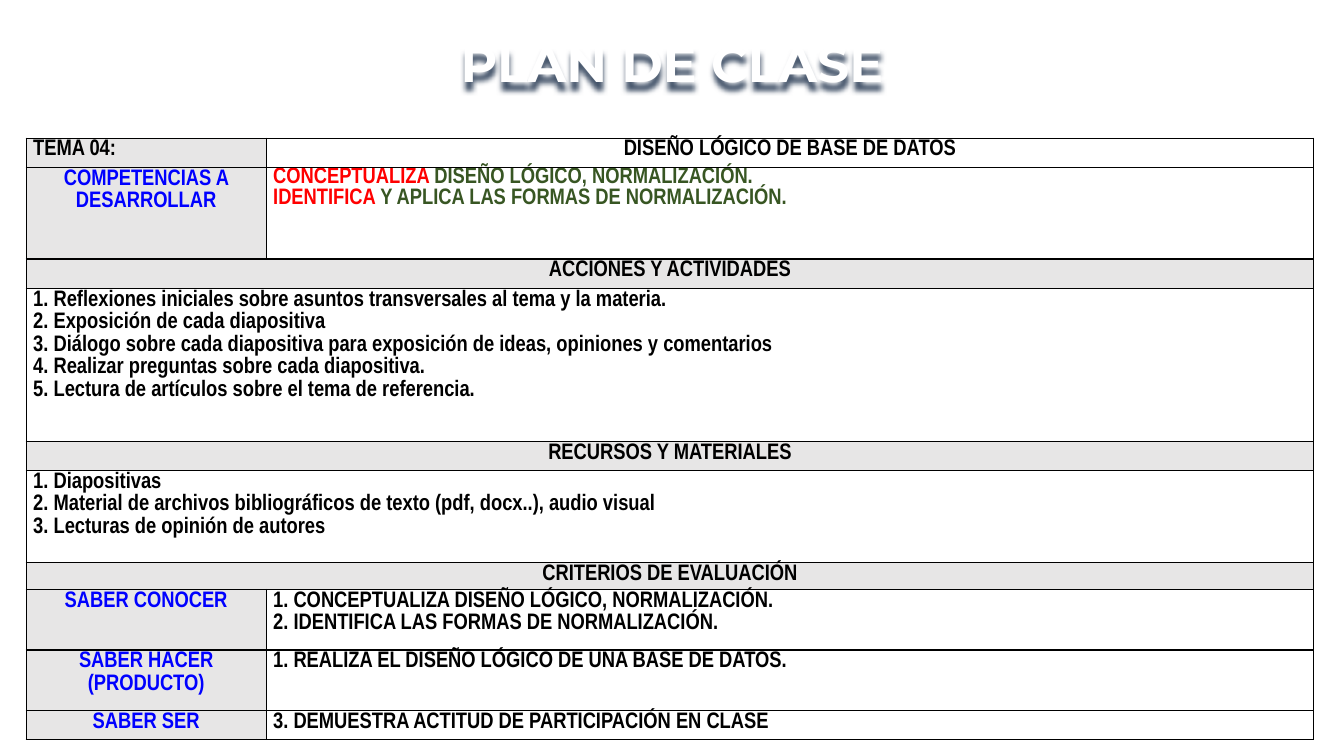
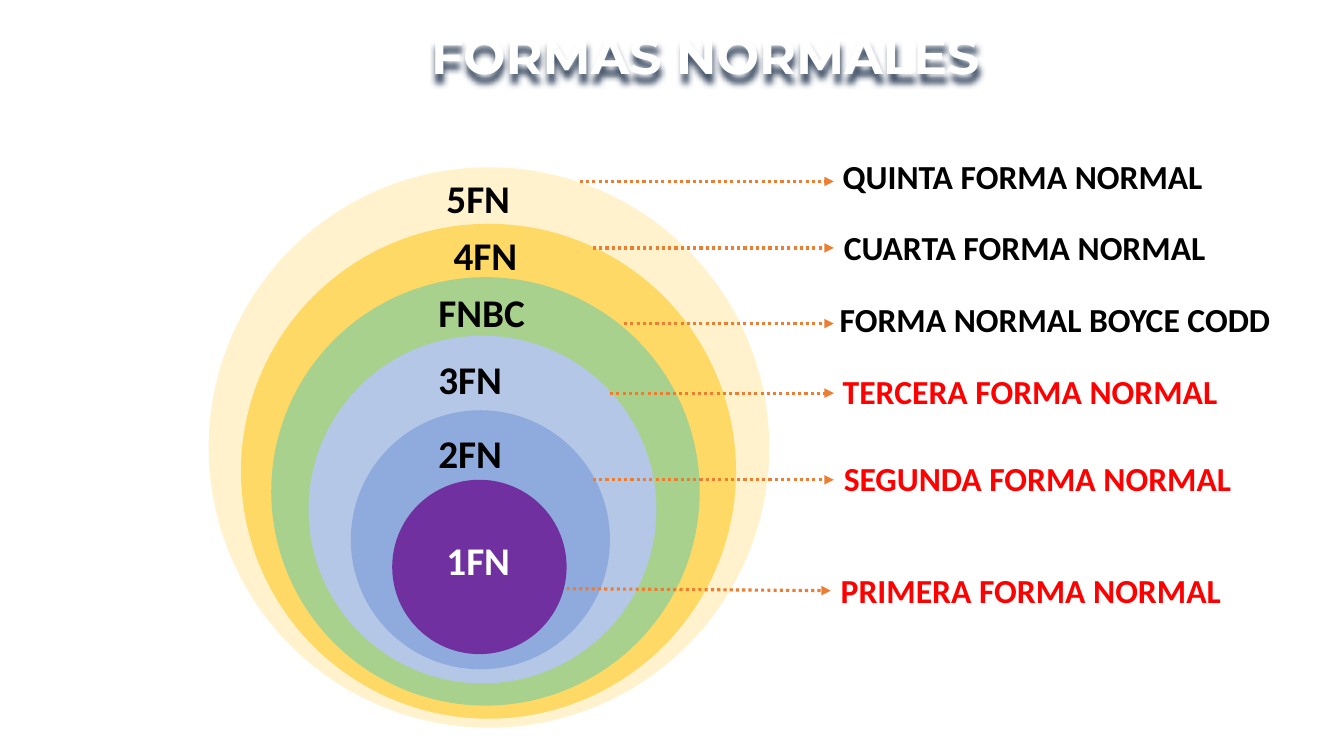
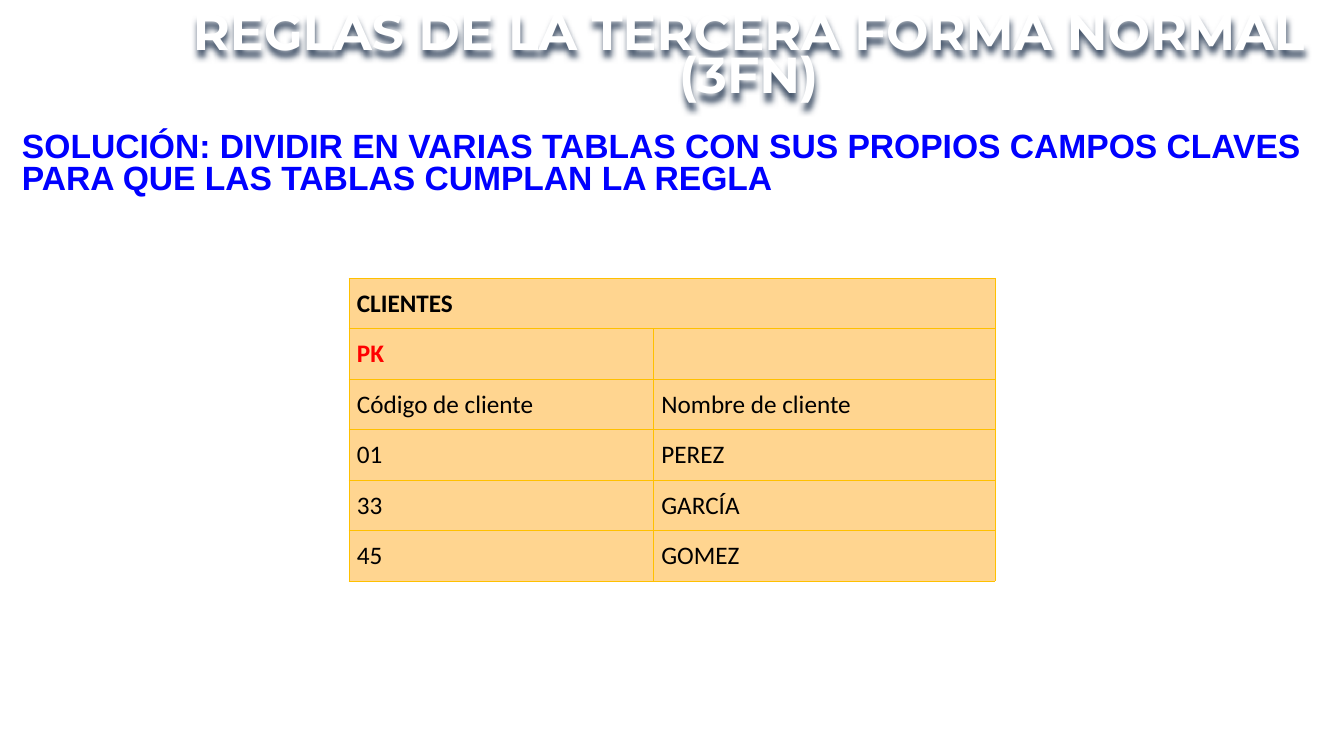
from dataclasses import dataclass, field

from lxml import etree
from pptx import Presentation
from pptx import util as u
from pptx.dml.color import RGBColor
from pptx.enum import dml, shapes, text
from pptx.oxml.ns import qn

LEFT, CENTER, JUSTIFY = text.PP_ALIGN.LEFT, text.PP_ALIGN.CENTER, text.PP_ALIGN.JUSTIFY


@dataclass(frozen=True)
class Theme:
    white: str = "FFFFFF"
    black: str = "000000"
    red: str = "FF0000"
    blue: str = "0000FF"
    green: str = "385623"
    gray: str = "E7E6E6"
    orange: str = "ED7D31"
    gold: str = "FFC000"
    peach: str = "FFD590"
    shadow: str = "44546A"
    title_font: str = "Montserrat"
    body_font: str = "Calibri"
    plan_font: str = "Arial Narrow"
    note_font: str = "Arial"
    title_size: int = 36
    level_size: int = 28
    caption_size: int = 24
    data_size: int = 18
    plan_size: int = 16


THEME = Theme()


@dataclass
class Cell:
    paragraphs: list
    fill: str = ""
    style: dict = field(default_factory=dict)


def write(frame, paragraphs, font=THEME.body_font, size=THEME.data_size,
          color=THEME.black, bold=True, align=LEFT, spacing=None):
    """Fill a frame; a paragraph is a string or a list of (text, colour) spans."""
    for index, content in enumerate(paragraphs):
        para = frame.paragraphs[0] if index == 0 else frame.add_paragraph()
        para.alignment = align
        para.line_spacing = spacing
        spans = [(content, color)] if isinstance(content, str) else content
        for words, span_color in spans:
            span = para.add_run()
            span.text = words
            span.font.name = font
            span.font.size = u.Pt(size)
            span.font.bold = bold
            span.font.color.rgb = RGBColor.from_string(span_color)


def set_borders(cell, color, width):
    properties = cell._tc.get_or_add_tcPr()
    for side in ("a:lnL", "a:lnR", "a:lnT", "a:lnB"):
        line = etree.SubElement(properties, qn(side), w=str(u.Pt(width)))
        fill = etree.SubElement(line, qn("a:solidFill"))
        etree.SubElement(fill, qn("a:srgbClr"), val=color)


class Slides:
    def __init__(self):
        self.deck = Presentation()
        self.deck.slide_width = u.Inches(13.33)
        self.deck.slide_height = u.Inches(7.5)
        self.page = None

    def new_page(self):
        self.page = self.deck.slides.add_slide(self.deck.slide_layouts[6])

    def text(self, at, words, wrap=True, inset=True, **style):
        box = self.page.shapes.add_textbox(*map(u.Inches, at))
        frame = box.text_frame
        frame.word_wrap = wrap
        frame.auto_size = text.MSO_AUTO_SIZE.SHAPE_TO_FIT_TEXT
        if not inset:
            frame.margin_left = frame.margin_right = 0
            frame.margin_top = frame.margin_bottom = 0
        write(frame, [words], **style)
        return box

    def title(self, at, words, spacing=None):
        box = self.text(at, words, inset=False, font=THEME.title_font,
                        size=THEME.title_size, color=THEME.white,
                        align=CENTER, spacing=spacing)
        box.shadow.inherit = False
        effects = box.element.spPr.find(qn("a:effectLst"))
        shadow = etree.SubElement(effects, qn("a:outerShdw"), blurRad=str(u.Pt(4)),
                                  dist=str(u.Pt(5)), dir="5400000", algn="tl",
                                  rotWithShape="0")
        etree.SubElement(shadow, qn("a:srgbClr"), val=THEME.shadow)

    def circle(self, left, top, diameter, color):
        disc = self.page.shapes.add_shape(
            shapes.MSO_SHAPE.OVAL, *map(u.Inches, (left, top, diameter, diameter)))
        disc.shadow.inherit = False
        disc.fill.solid()
        disc.fill.fore_color.rgb = RGBColor.from_string(color)
        disc.line.fill.background()

    def arrow(self, start, end):
        arrow = self.page.shapes.add_connector(
            shapes.MSO_CONNECTOR.STRAIGHT, *map(u.Inches, (*start, *end)))
        arrow.line.color.rgb = RGBColor.from_string(THEME.orange)
        arrow.line.width = u.Pt(2.25)
        arrow.line.dash_style = dml.MSO_LINE.ROUND_DOT
        properties = arrow.element.spPr
        etree.SubElement(properties.find(qn("a:ln")), qn("a:tailEnd"), type="triangle")
        etree.SubElement(properties, qn("a:effectLst"))

    def table(self, left, top, columns, rows, border, margins, **style):
        """Draw rows of (height, cells); a lone cell spans the whole row."""
        frame = self.page.shapes.add_table(
            len(rows), len(columns), u.Inches(left), u.Inches(top),
            u.Inches(sum(columns)), u.Inches(sum(height for height, _ in rows)))
        grid = frame.table
        grid.first_row = grid.horz_banding = False
        for column, width in zip(grid.columns, columns):
            column.width = u.Inches(width)
        for index, (height, cells) in enumerate(rows):
            grid.rows[index].height = u.Inches(height)
            row = list(grid.rows[index].cells)
            for cell in row:
                set_borders(cell, *border)
                cell.fill.background()
            if len(cells) == 1:
                row[0].merge(row[-1])
            for cell, content in zip(row, cells):
                cell.margin_left = cell.margin_right = u.Inches(margins[0])
                cell.margin_top = cell.margin_bottom = u.Inches(margins[1])
                if content.fill:
                    cell.fill.solid()
                    cell.fill.fore_color.rgb = RGBColor.from_string(content.fill)
                write(cell.text_frame, content.paragraphs, **{**style, **content.style})


def heading(words):
    return Cell([words], THEME.gray, {"align": CENTER})


def label(words):
    return Cell([words], THEME.gray, {"align": CENTER, "color": THEME.blue})


def body(*paragraphs, **style):
    return Cell(list(paragraphs), "", {"align": JUSTIFY, **style})


def class_plan(slides):
    slides.new_page()
    skills = body(
        [("CONCEPTUALIZA ", THEME.red), ("DISEÑO LÓGICO, NORMALIZACIÓN.", THEME.green)],
        [("IDENTIFICA ", THEME.red),
         ("Y APLICA LAS FORMAS DE NORMALIZACIÓN.", THEME.green)],
        spacing=None)
    rows = [
        (0.29, [Cell(["TEMA 04:"], THEME.gray),
                body("DISEÑO LÓGICO DE BASE DE DATOS", align=CENTER)]),
        (0.91, [label("COMPETENCIAS A DESARROLLAR"), skills]),
        (0.29, [heading("ACCIONES Y ACTIVIDADES")]),
        (1.52, [body(
            "1. Reflexiones iniciales sobre asuntos transversales al tema y la materia.",
            "2. Exposición de cada diapositiva",
            "3. Diálogo sobre cada diapositiva para exposición de ideas, "
            "opiniones y comentarios",
            "4. Realizar preguntas sobre cada diapositiva.",
            "5. Lectura de artículos sobre el tema de referencia.")]),
        (0.29, [heading("RECURSOS Y MATERIALES")]),
        (0.91, [body(
            "1. Diapositivas",
            "2. Material de archivos bibliográficos de texto (pdf, docx..), audio visual",
            "3. Lecturas de opinión de autores")]),
        (0.27, [heading("CRITERIOS DE EVALUACIÓN")]),
        (0.6, [label("SABER CONOCER"), body(
            "1. CONCEPTUALIZA DISEÑO LÓGICO, NORMALIZACIÓN.",
            "2. IDENTIFICA LAS FORMAS DE NORMALIZACIÓN.")]),
        (0.6, [label("SABER HACER (PRODUCTO)"),
               body("1. REALIZA EL DISEÑO LÓGICO DE UNA BASE DE DATOS.")]),
        (0.29, [label("SABER SER"),
                body("3. DEMUESTRA ACTITUD DE PARTICIPACIÓN EN CLASE")]),
    ]
    slides.table(0.26, 1.37, (2.38, 10.39), rows, (THEME.black, 1), (0.07, 0),
                 font=THEME.plan_font, size=THEME.plan_size, spacing=1.07)
    slides.title((0.99, 0.32, 11.35, 0.61), "PLAN DE CLASE")


def normal_forms(slides):
    slides.new_page()
    black, red = THEME.black, THEME.red
    # circle (left, top, diameter, colour); level (left, top, width, words, colour);
    # arrow (start, end); caption (left, top, width, words, colour)
    forms = [
        ((2.07, 1.66, 5.56, "FFF2CC"), (4.33, 1.68, 0.84, "5FN", black),
         ((5.75, 1.8), (8.27, 1.8)), (8.26, 1.5, 3.8, "QUINTA FORMA NORMAL", black)),
        ((2.39, 2.22, 4.91, "FFD966"), (4.4, 2.25, 0.84, "4FN", black),
         ((5.88, 2.46), (8.27, 2.46)), (8.27, 2.2, 3.82, "CUARTA FORMA NORMAL", black)),
        ((2.69, 2.75, 4.25, "A9D18E"), (4.25, 2.81, 1.07, "FNBC", black),
         ((6.19, 3.21), (8.27, 3.21)),
         (8.23, 2.92, 4.51, "FORMA NORMAL BOYCE CODD", black)),
        ((3.06, 3.33, 3.45, "B4C7E7"), (4.25, 3.48, 0.84, "3FN", black),
         ((6.05, 3.9), (8.27, 3.9)), (8.26, 3.63, 3.95, "TERCERA FORMA NORMAL", red)),
        ((3.48, 4.07, 2.57, "8FAADC"), (4.25, 4.21, 0.84, "2FN", black),
         ((5.88, 4.76), (8.27, 4.76)), (8.27, 4.49, 4.08, "SEGUNDA FORMA NORMAL", red)),
        ((3.89, 4.76, 1.73, "7030A0"), (4.33, 5.27, 0.84, "1FN", THEME.white),
         ((5.62, 5.84), (8.24, 5.86)), (8.24, 5.6, 4.01, "PRIMERA FORMA NORMAL", red)),
    ]
    for circle, _, _, _ in forms:
        slides.circle(*circle)
    for _, level, arrow, caption in forms:
        slides.arrow(*arrow)
        for entry, height, size in ((level, 0.57, THEME.level_size),
                                    (caption, 0.5, THEME.caption_size)):
            left, top, width, words, color = entry
            slides.text((left, top, width, height), words, wrap=False,
                        size=size, color=color)
    slides.title((1.22, 0.3, 11.55, 0.55), "FORMAS NORMALES", u.Pt(39))


def third_form_rules(slides):
    slides.new_page()
    slides.text((0.12, 1.27, 13.44, 0.75),
                "SOLUCIÓN: DIVIDIR EN VARIAS TABLAS CON SUS PROPIOS CAMPOS CLAVES "
                "PARA QUE LAS TABLAS CUMPLAN LA REGLA",
                font=THEME.note_font, size=THEME.caption_size, color=THEME.blue,
                spacing=u.Pt(23))
    clients = [("Código de cliente", "Nombre de cliente"),
               ("01", "PEREZ"), ("33", "GARCÍA"), ("45", "GOMEZ")]
    rows = [
        [Cell(["CLIENTES"], THEME.peach, {"bold": True})],
        [Cell(["PK"], THEME.peach, {"bold": True, "color": THEME.red}),
         Cell([], THEME.peach)],
    ]
    rows += [[Cell([value], THEME.peach) for value in client] for client in clients]
    slides.table(3.46, 2.76, (3.02, 3.39), [(0.5, cells) for cells in rows],
                 (THEME.gold, 0.5), (0.08, 0.1), bold=False)
    slides.title((1.65, 0.17, 11.55, 0.88),
                 "REGLAS DE LA TERCERA FORMA NORMAL (3FN)", u.Pt(31))


def main():
    slides = Slides()
    class_plan(slides)
    normal_forms(slides)
    third_form_rules(slides)
    slides.deck.save("out.pptx")


if __name__ == "__main__":
    main()
